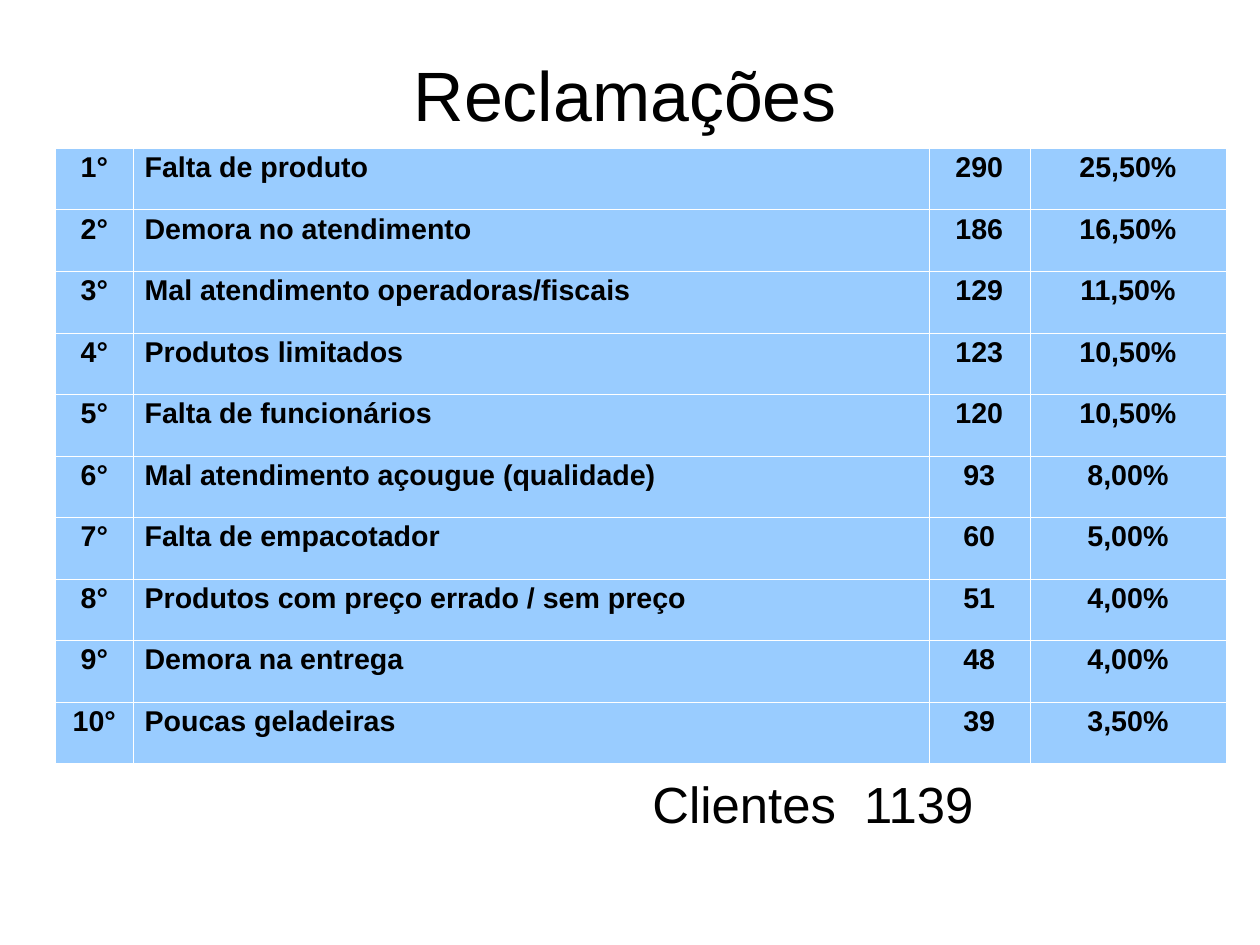
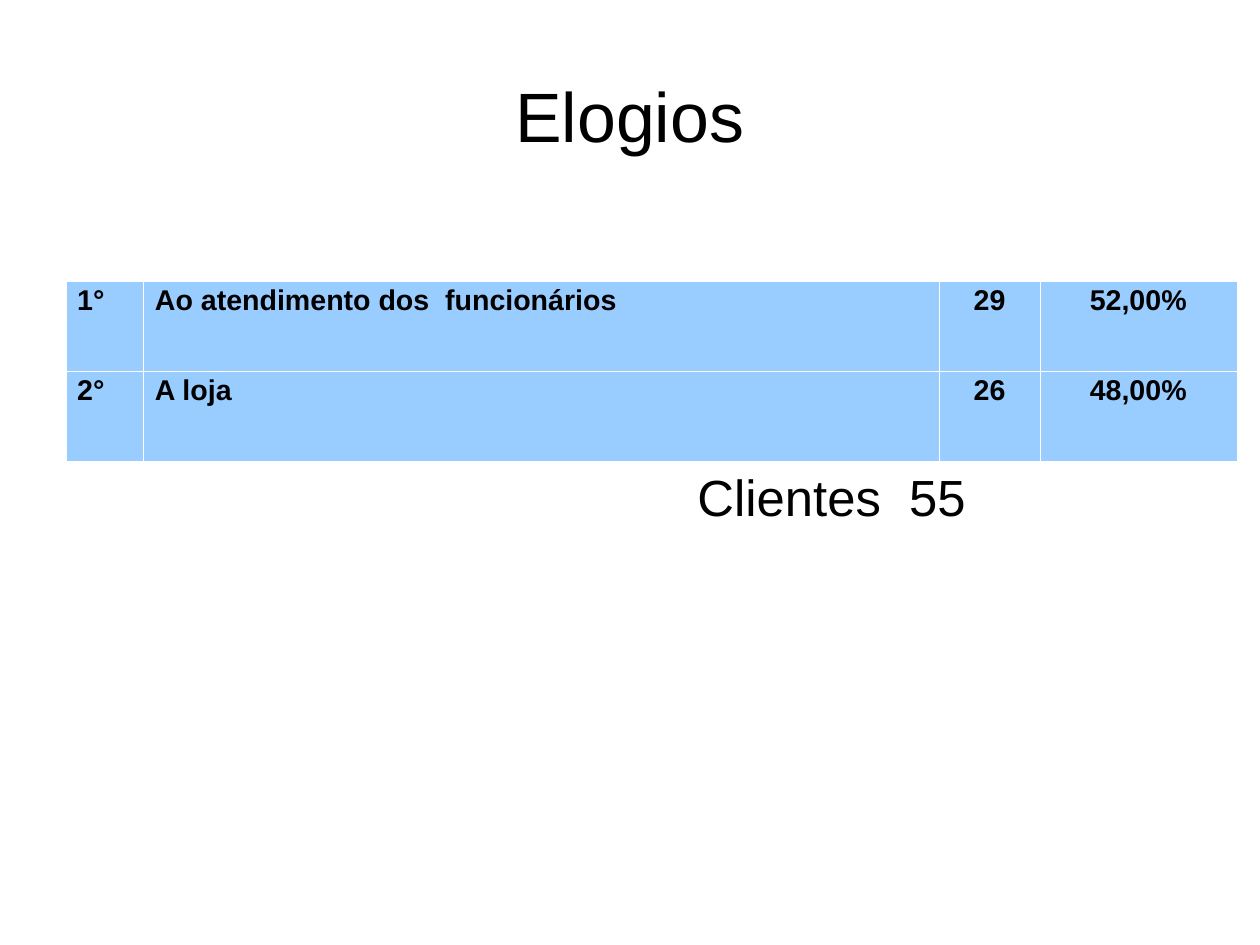
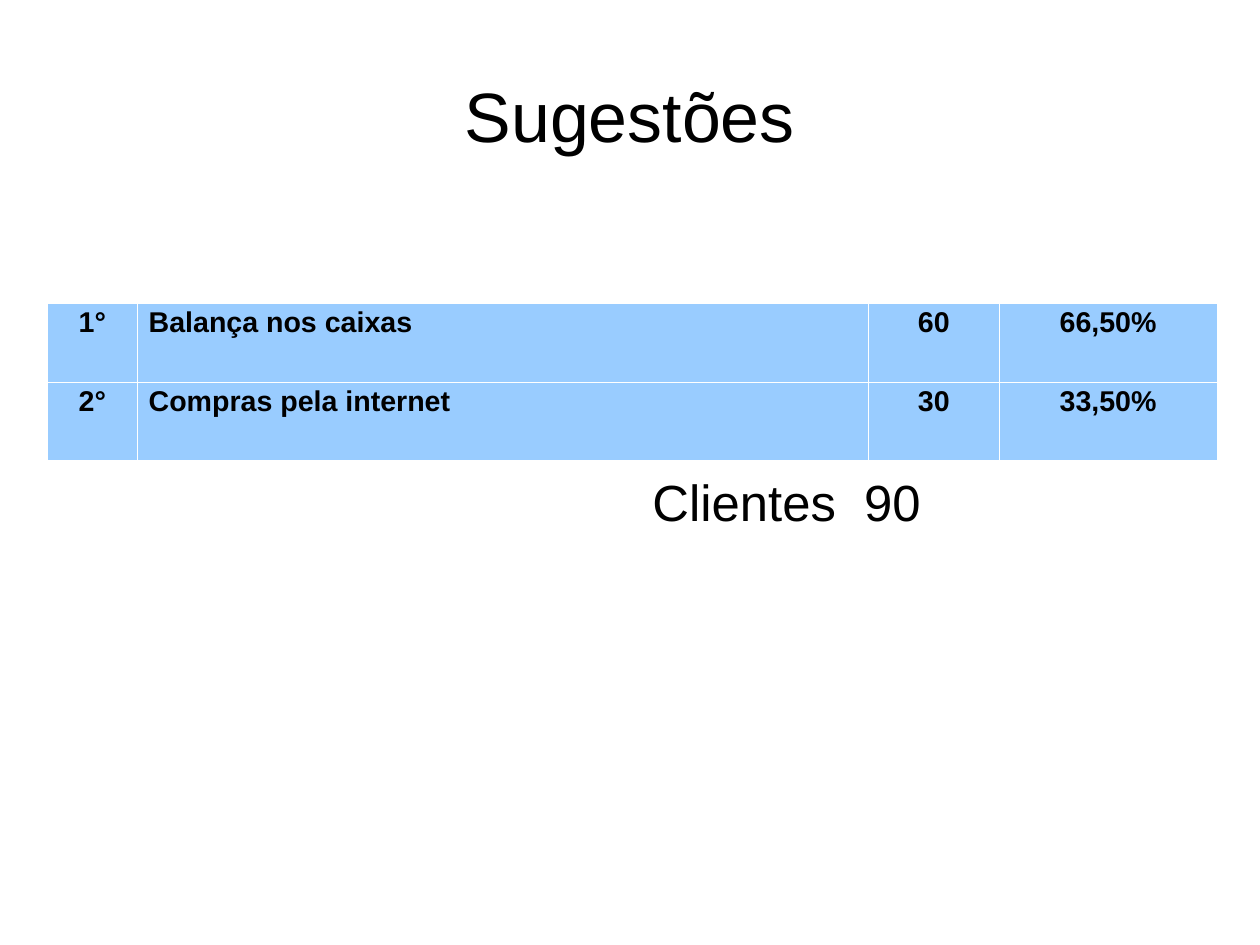
import pptx
import pptx.dml.color
import pptx.enum.text
import pptx.oxml
import pptx.oxml.ns
import pptx.util

Cm = pptx.util.Cm
Pt = pptx.util.Pt
Align = pptx.enum.text.PP_ALIGN
Anchor = pptx.enum.text.MSO_ANCHOR

BLACK = pptx.dml.color.RGBColor(0x00, 0x00, 0x00)
WHITE = pptx.dml.color.RGBColor(0xFF, 0xFF, 0xFF)
SKY_BLUE = pptx.dml.color.RGBColor(0x99, 0xCC, 0xFF)
FONT = "Arial"
BORDER_WIDTH = Pt(0.06)
RANKING_COLUMNS = (1.73, 17.68, 2.24, 4.37)
SUGGESTION_COLUMNS = (2, 16.25, 2.9, 4.85)

COMPLAINTS = [
    ("Falta de produto", "290", "25,50%"),
    ("Demora no atendimento", "186", "16,50%"),
    ("Mal atendimento operadoras/fiscais", "129", "11,50%"),
    ("Produtos limitados", "123", "10,50%"),
    ("Falta de funcionários", "120", "10,50%"),
    ("Mal atendimento açougue (qualidade)", "93", "8,00%"),
    ("Falta de empacotador", "60", "5,00%"),
    ("Produtos com preço errado / sem preço", "51", "4,00%"),
    ("Demora na entrega", "48", "4,00%"),
    ("Poucas geladeiras", "39", "3,50%"),
]
PRAISE = [
    ("Ao atendimento dos  funcionários", "29", "52,00%"),
    ("A loja", "26", "48,00%"),
]
SUGGESTIONS = [
    ("Balança nos caixas", "60", "66,50%"),
    ("Compras pela internet", "30", "33,50%"),
]


def write_text(frame, text, *, size, bold=False, align=Align.LEFT,
               line_spacing=0.93, space_after=0, margin=0, indent=0):
    paragraph = frame.paragraphs[0]
    paragraph.alignment = align
    paragraph.line_spacing = line_spacing
    paragraph.space_after = Pt(space_after)
    properties = paragraph._p.get_or_add_pPr()
    properties.set("marL", str(Cm(margin)))
    properties.set("indent", str(Cm(indent)))
    run = paragraph.add_run()
    run.text = text
    run.font.name = FONT
    run.font.size = Pt(size)
    run.font.bold = bold
    run.font.color.rgb = BLACK


def add_text_area(slide, left, top, width, height, inset_top, anchor=Anchor.TOP):
    frame = slide.shapes.add_textbox(Cm(left), Cm(top), Cm(width), Cm(height)).text_frame
    frame.word_wrap = True
    frame.vertical_anchor = anchor
    frame.margin_left = frame.margin_right = frame.margin_bottom = 0
    frame.margin_top = Cm(inset_top)
    return frame


def add_title(slide, text, left=1.4, top=0.84, height=3.5):
    frame = add_text_area(slide, left, top, 25.2, height, 0.1, Anchor.MIDDLE)
    write_text(frame, text, size=44, align=Align.CENTER)


def add_client_total(slide, total, left, top, line_spacing=0.93):
    frame = add_text_area(slide, left, top, 11, 1.27, 0.08)
    write_text(frame, f"Clientes  {total}", size=32, line_spacing=line_spacing,
               space_after=11.4, margin=2.39, indent=-0.89)


def format_cell(cell):
    properties = cell._tc.get_or_add_tcPr()
    for side in ("lnL", "lnR", "lnT", "lnB"):
        properties.append(pptx.oxml.parse_xml(
            f'<a:{side} {pptx.oxml.ns.nsdecls("a")} w="{BORDER_WIDTH}">'
            f'<a:solidFill><a:srgbClr val="{WHITE}"/></a:solidFill></a:{side}>'))
    cell.fill.solid()
    cell.fill.fore_color.rgb = SKY_BLUE


def add_ranking(slide, entries, left, top, height, columns=RANKING_COLUMNS,
                rank_align=Align.CENTER):
    ranking = slide.shapes.add_table(len(entries), len(columns), Cm(left), Cm(top),
                                     Cm(sum(columns)), Cm(height)).table
    ranking.first_row = ranking.horz_banding = False
    for column, width in zip(ranking.columns, columns):
        column.width = Cm(width)
    alignments = (rank_align, Align.LEFT, Align.CENTER, Align.CENTER)
    for position, (row, entry) in enumerate(zip(ranking.rows, entries), 1):
        row.height = Cm(height / len(entries))
        for cell, text, align in zip(row.cells, (f"{position}°", *entry), alignments):
            format_cell(cell)
            write_text(cell.text_frame, text, size=18, bold=True, align=align)


def main():
    deck = pptx.Presentation()
    deck.slide_width, deck.slide_height = Cm(28), Cm(21)
    blank = deck.slide_layouts[6]

    complaints = deck.slides.add_slide(blank)
    add_title(complaints, "Reclamações", left=1.3, top=0.5, height=3.25)
    add_ranking(complaints, COMPLAINTS, 1.23, 3.29, 13.67)
    add_client_total(complaints, 1139, 13, 17.22)

    praise = deck.slides.add_slide(blank)
    add_title(praise, "Elogios")
    add_ranking(praise, PRAISE, 1.46, 6.25, 4, rank_align=Align.LEFT)
    add_client_total(praise, 55, 14, 10.5, line_spacing=0.83)

    suggestions = deck.slides.add_slide(blank)
    add_title(suggestions, "Sugestões")
    add_ranking(suggestions, SUGGESTIONS, 1.05, 6.73, 3.5, SUGGESTION_COLUMNS)
    add_client_total(suggestions, 90, 13, 10.5)

    deck.save("out.pptx")


if __name__ == "__main__":
    main()
